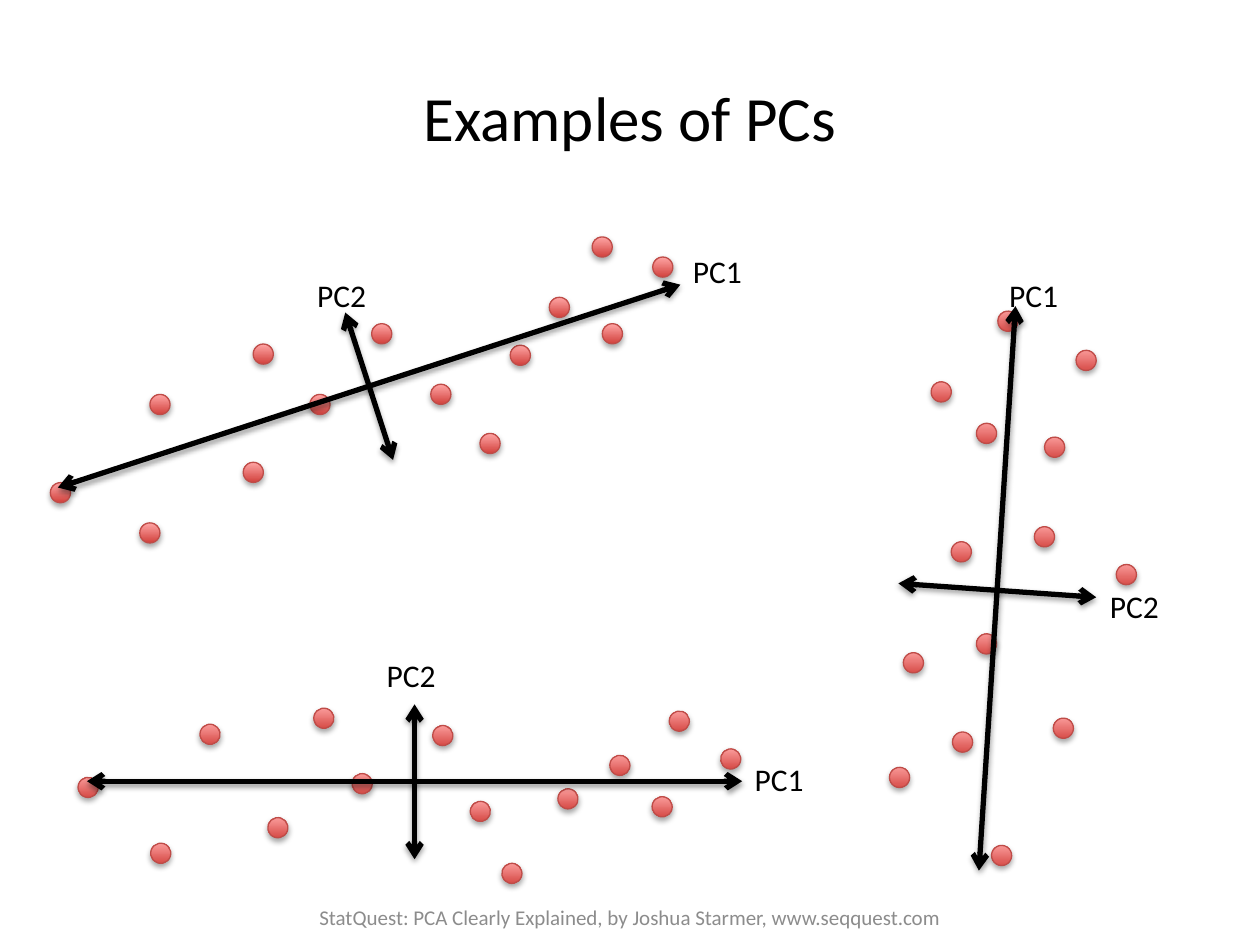
from dataclasses import dataclass
from math import cos, radians, sin

from lxml import etree
from pptx import Presentation
from pptx import util as u
from pptx.dml import color
from pptx.enum import shapes, text
from pptx.oxml import ns

FONT = "Calibri"
INK = "000000"
DOT = 11.5
TILT = 18

Spot = tuple[float, float]


@dataclass
class Axis:
    name: str
    start: Spot
    end: Spot
    label: Spot


@dataclass
class Plot:
    dots: list[Spot]
    turn: int
    axes: list[Axis]


def paint(value: str) -> color.RGBColor:
    return color.RGBColor.from_string(value)


def shade(shape, alpha: int, dist: float) -> None:
    props = shape._element.spPr
    effects = etree.SubElement(props, ns.qn("a:effectLst"))
    outer = etree.SubElement(
        effects, ns.qn("a:outerShdw"), blurRad=str(u.Pt(3.15)),
        dist=str(u.Pt(dist)), dir="5400000", rotWithShape="0")
    tone = etree.SubElement(outer, ns.qn("a:srgbClr"), val=INK)
    etree.SubElement(tone, ns.qn("a:alpha"), val=str(alpha * 1000))


def draw_dot(group, spot: Spot, turn: int) -> None:
    dot = group.shapes.add_shape(
        shapes.MSO_SHAPE.OVAL, u.Pt(spot[0]), u.Pt(spot[1]), u.Pt(DOT), u.Pt(DOT))
    dot.rotation = turn
    dot.fill.gradient()
    dot.fill.gradient_angle = 90
    for stop, tone in zip(dot.fill.gradient_stops, ("D1403C", "FFA6A5")):
        stop.color.rgb = paint(tone)
    dot._element.spPr.find(ns.qn("a:gradFill")).set("rotWithShape", "0")
    dot.line.color.rgb = paint("BF4C48")
    dot.line.width = u.Pt(0.75)
    shade(dot, 35, 1.8)


def draw_line(group, axis: Axis) -> None:
    line = group.shapes.add_connector(
        shapes.MSO_CONNECTOR.STRAIGHT, *map(u.Pt, axis.start + axis.end))
    line.line.color.rgb = paint(INK)
    line.line.width = u.Pt(3)
    edge = line._element.spPr.find(ns.qn("a:ln"))
    for tip in ("a:headEnd", "a:tailEnd"):
        etree.SubElement(edge, ns.qn(tip), type="arrow")
    shade(line, 38, 1.6)


def draw_text(slide, words: str, spot: Spot, size: Spot, points: int,
              tone: str = INK, center: bool = True) -> None:
    box = slide.shapes.add_textbox(*map(u.Pt, spot + size))
    frame = box.text_frame
    frame.text = words
    frame.word_wrap = center
    if center:
        frame.vertical_anchor = text.MSO_ANCHOR.MIDDLE
        frame.paragraphs[0].alignment = text.PP_ALIGN.CENTER
    else:
        frame.auto_size = text.MSO_AUTO_SIZE.SHAPE_TO_FIT_TEXT
    font = frame.paragraphs[0].runs[0].font
    font.name = FONT
    font.size = u.Pt(points)
    font.color.rgb = paint(tone)


def draw_plot(slide, plot: Plot) -> None:
    cloud = slide.shapes.add_group_shape()
    for spot in plot.dots:
        draw_dot(cloud, spot, plot.turn)
    cross = slide.shapes.add_group_shape()
    for axis in plot.axes:
        draw_line(cross, axis)
    for axis in plot.axes:
        draw_text(slide, axis.name, axis.label, (42.5, 28.8), 18, center=False)


def rotate(dots: list[Spot], start: Spot, angle: float) -> list[Spot]:
    c, s = cos(radians(angle)), sin(radians(angle))
    left, top = dots[0]
    return [(start[0] + (x - left) * c - (y - top) * s,
             start[1] + (x - left) * s + (y - top) * c) for x, y in dots]


SLOPED = [
    (28.8, 275.8), (85.7, 225.4), (79.9, 298.8), (139, 264.2), (373, 146.9),
    (344.2, 185), (212.4, 185), (177.1, 225.4), (144.7, 196.6), (274.3, 247.7),
    (313.9, 169.9), (338.4, 135.4), (291.6, 197.3), (246.2, 219.6),
]
UPRIGHT = [
    (544.3, 418.3), (508.3, 438.5), (566.6, 483.1), (601.9, 410.4), (558, 241.9),
    (614.9, 200.2), (543.6, 309.6), (558, 362.2), (516.2, 373), (637.9, 322.6),
    (532.1, 218.2), (570.2, 177.8), (596.9, 249.8), (591.1, 301),
]
PLOTS = [
    Plot(SLOPED, 0, [
        Axis("PC1", (33.1, 278.6), (388.8, 162.7), (388.8, 140.4)),
        Axis("PC2", (197.3, 178.6), (224.6, 262.8), (174.2, 154.1))]),
    Plot(UPRIGHT, 303, [
        Axis("PC1", (559.4, 497.5), (580.3, 175), (569.5, 154.1)),
        Axis("PC2", (513.4, 333.4), (626.4, 341.3), (627.1, 331.9))]),
    Plot(rotate(SLOPED, (44.6, 444.2), TILT), TILT, [
        Axis("PC1", (49.7, 446.4), (424.1, 446.4), (424.1, 430.6)),
        Axis("PC2", (236.9, 402.5), (236.9, 491), (213.8, 371.5))]),
]


def main() -> None:
    deck = Presentation()
    deck.slide_width, deck.slide_height = u.Pt(720), u.Pt(540)
    slide = deck.slides.add_slide(deck.slide_layouts[6])
    for plot in PLOTS:
        draw_plot(slide, plot)
    draw_text(slide, "Examples of PCs", (36, 21.6), (648, 90), 36)
    draw_text(
        slide, "StatQuest: PCA Clearly Explained, by Joshua Starmer, www.seqquest.com",
        (135.4, 509.8), (449.3, 28.8), 12, "8C8C8C")
    deck.save("out.pptx")


if __name__ == "__main__":
    main()
